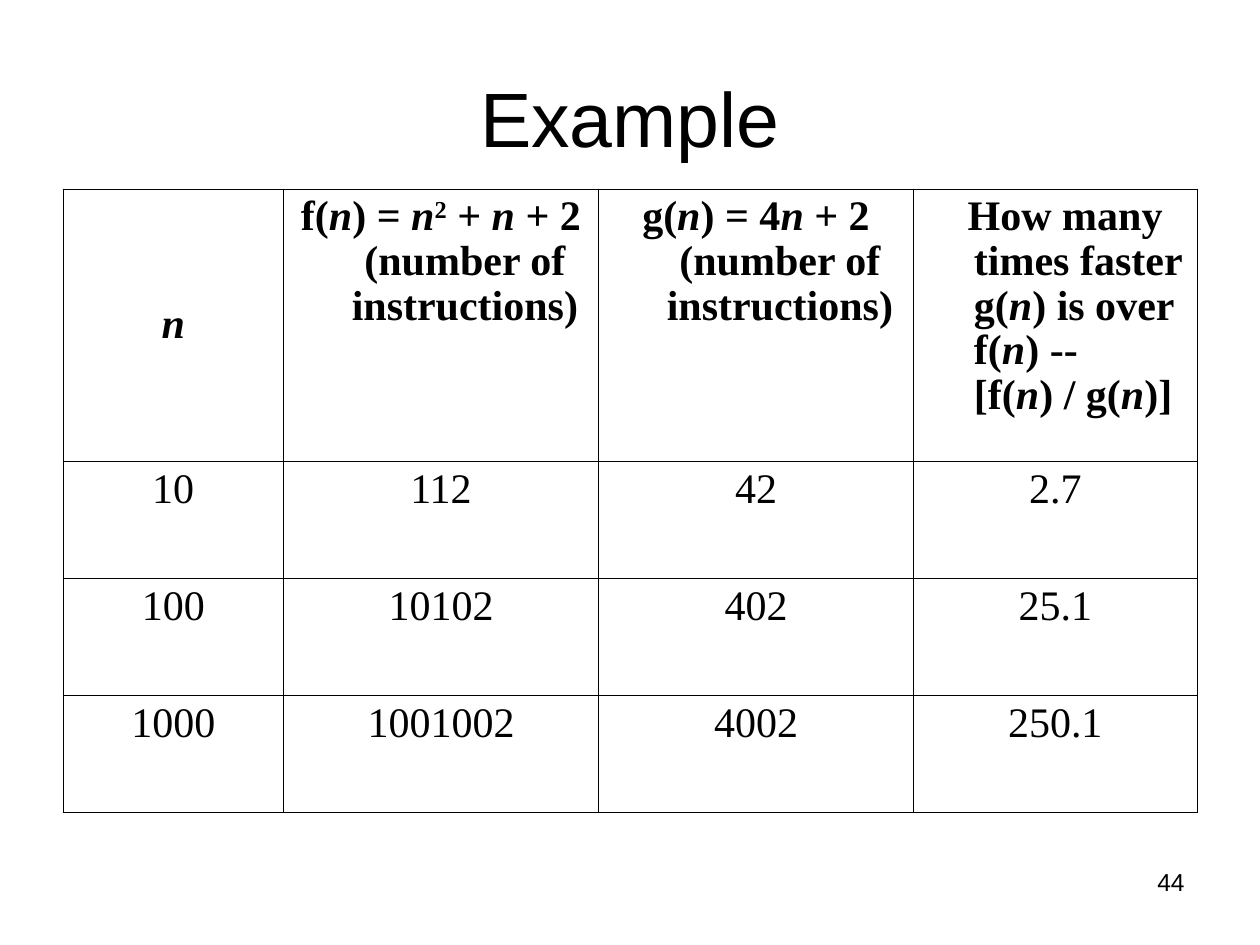
from dataclasses import dataclass
from typing import NamedTuple

from lxml.etree import SubElement
from pptx import Presentation
from pptx.dml.color import RGBColor
from pptx.enum.text import MSO_ANCHOR as Anchor, PP_ALIGN as Align
from pptx.oxml.ns import qn
from pptx.util import Inches, Pt


@dataclass(frozen=True)
class Theme:
    ink: str = "000000"
    sans: str = "Arial"
    serif: str = "Times New Roman"
    title: int = 44
    body: int = 24
    number: int = 14
    border: float = 0.45
    line_spacing: float = 0.96


class Box(NamedTuple):
    left: float
    top: float
    width: float
    height: float


class Header(NamedTuple):
    """A heading in which *n* marks italics, ^2^ a superscript and \\n a line break."""
    text: str
    align: Align = Align.CENTER
    anchor: Anchor = Anchor.TOP
    indent: float = -0.38


THEME = Theme()
HANG = 0.38
COLUMNS = (1.75, 2.5, 2.5, 2.25)
ROWS = (2.16, 0.93, 0.93, 0.93)
HEADERS = (
    Header("*n*", anchor=Anchor.MIDDLE),
    Header("f(*n*) = *n*^2^ + *n* + 2 (number of instructions)"),
    Header("g(*n*) = 4*n* + 2 (number of instructions)"),
    Header("How many times faster g(*n*) is over f(*n*) --\n[f(*n*) / g(*n*)]",
           align=Align.LEFT, indent=-0.05),
)
VALUES = (
    ("10", "112", "42", "2.7"),
    ("100", "10102", "402", "25.1"),
    ("1000", "1001002", "4002", "250.1"),
)


def add_run(p, text: str, font: str, size: int, bold: bool = False,
            italic: bool = False, superscript: bool = False) -> None:
    r = p.add_run()
    r.text = text
    r.font.name, r.font.size = font, Pt(size)
    r.font.bold, r.font.italic = bold, italic
    r.font.color.rgb = RGBColor.from_string(THEME.ink)
    if superscript:
        r.font._element.set("baseline", "30000")


def add_marked_runs(p, text: str, bold: bool) -> None:
    for i, line in enumerate(text.split("\n")):
        if i:
            p.add_line_break()
        for j, part in enumerate(line.split("*")):
            for k, piece in enumerate(part.split("^")):
                if piece:
                    add_run(p, piece, THEME.serif, THEME.body, bold,
                            italic=j % 2 == 1, superscript=k % 2 == 1)


def add_label(s, box: Box, text: str, size: int, align: Align, anchor: Anchor) -> None:
    tf = s.shapes.add_textbox(*map(Inches, box)).text_frame
    tf.word_wrap = True
    tf.vertical_anchor = anchor
    p = tf.paragraphs[0]
    p.alignment = align
    add_run(p, text, THEME.sans, size)


def set_borders(cell) -> None:
    tc_pr = cell._tc.get_or_add_tcPr()
    for i, side in enumerate(("lnL", "lnR", "lnT", "lnB")):
        line = SubElement(tc_pr, qn(f"a:{side}"), w=str(Pt(THEME.border)))
        fill = SubElement(line, qn("a:solidFill"))
        SubElement(fill, qn("a:srgbClr"), val=THEME.ink)
        tc_pr.remove(line)
        tc_pr.insert(i, line)  # borders come before the fill


def fill_cell(cell, entry: Header, bold: bool) -> None:
    cell.fill.background()
    set_borders(cell)
    cell.vertical_anchor = entry.anchor
    p = cell.text_frame.paragraphs[0]
    p.alignment = entry.align
    p.line_spacing = THEME.line_spacing
    p_pr = p._p.get_or_add_pPr()
    p_pr.set("marL", str(Inches(HANG)))
    p_pr.set("indent", str(Inches(entry.indent)))
    add_marked_runs(p, entry.text, bold)


def add_comparison_table(s, left: float, top: float) -> None:
    box = Box(left, top, sum(COLUMNS), sum(ROWS))
    table = s.shapes.add_table(len(ROWS), len(COLUMNS), *map(Inches, box)).table
    table.first_row = table.horz_banding = False
    for column, width in zip(table.columns, COLUMNS):
        column.width = Inches(width)
    for row, height in zip(table.rows, ROWS):
        row.height = Inches(height)
    entries = [HEADERS, *([Header(value) for value in row] for row in VALUES)]
    for i, row in enumerate(entries):
        for j, entry in enumerate(row):
            fill_cell(table.cell(i, j), entry, bold=i == 0)


def main() -> None:
    prs = Presentation()
    prs.slide_width, prs.slide_height = Inches(10), Inches(7.5)
    s = prs.slides.add_slide(prs.slide_layouts[6])
    add_label(s, Box(0.5, 0.3, 9, 1.25), "Example", THEME.title,
              Align.CENTER, Anchor.MIDDLE)
    add_comparison_table(s, 0.5, 1.5)
    add_label(s, Box(7.17, 6.83, 2.33, 0.52), "44", THEME.number,
              Align.RIGHT, Anchor.TOP)
    prs.save("out.pptx")


if __name__ == "__main__":
    main()
